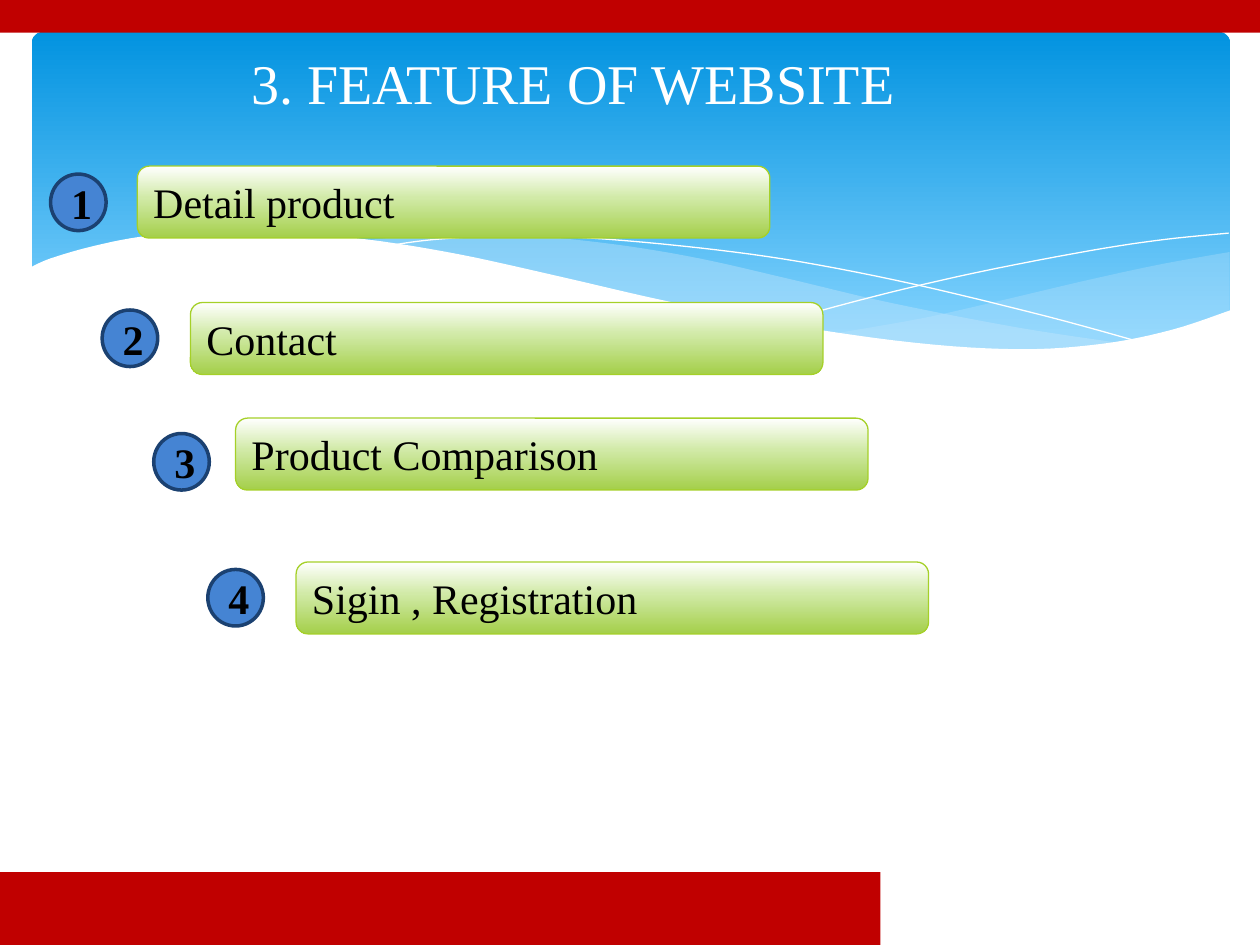
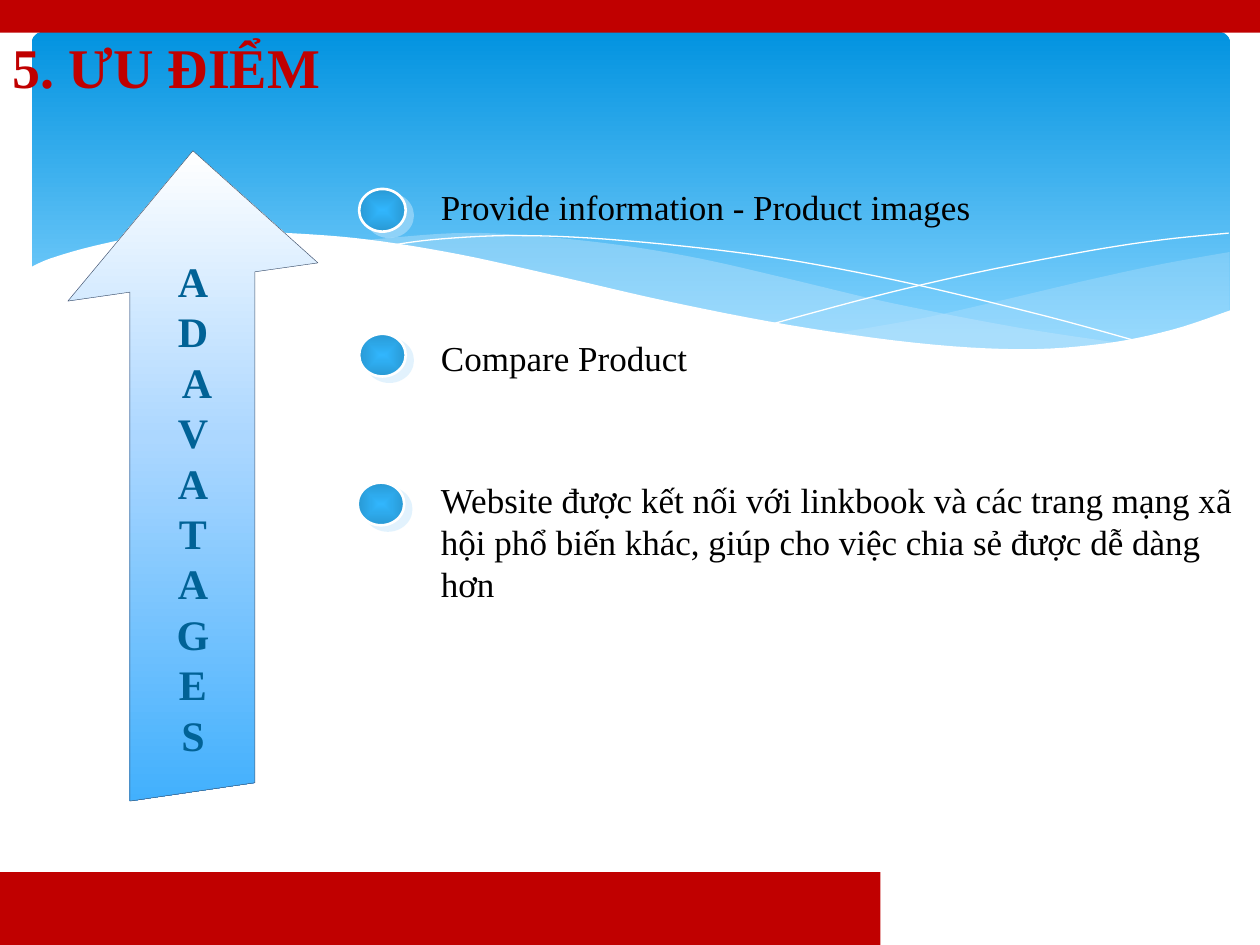
from pptx import Presentation
from pptx import util as u
from pptx.dml.color import RGBColor
from pptx.enum import shapes, text
from pptx.oxml import parse_xml
from pptx.oxml.ns import nsdecls, qn

FONT = "Times New Roman"
HUES = {
    "red": "C00000", "white": "FFFFFF", "black": "000000", "mist": "C6E7FC",
    "lime": "A5D028", "disc": "4584D3", "navy": "1B4171", "teal": "016296",
    "edge": "44546A",
}
SKY = [(0, "0293E0"), (90, "83D3FE")]
LEAF = [(0, "FFFFFF"), (44, "D1EAA7"), (100, "A4CF4A")]
ICE = [(0, "FFFFFF"), (44, "ACD7FF"), (100, "42B0FD")]
BEAD = [(0, "31B6FD"), (100, "2999D4")]

RIGHT_TOP = [(24.79, 5.08), (23.39, 5.33), (21.87, 5.66), (19.79, 6.15),
             (18.52, 6.43), (16.79, 6.73)]
RIGHT_LOW = [(16.79, 6.73), (17.91, 6.88), (19.23, 7.01), (20.68, 7.06),
             (22.15, 6.96), (23.57, 6.68), (24.79, 6.27)]
MID_TOP = [(22.68, 6.93), (20.5, 6.6), (17.93, 6.1), (15.98, 5.64), (14.1, 5.21),
           (12.42, 4.93), (10.67, 4.75), (9.17, 4.7), (7.26, 4.85)]
MID_LOW = [(7.26, 4.85), (9.19, 5.16), (11.4, 5.64), (13.46, 6.1), (15.7, 6.55),
           (18.01, 6.91), (20.22, 7.06), (22.68, 6.93)]
FALL = [(7.85, 4.95), (8.74, 4.83), (10.19, 4.75), (11.91, 4.8), (14.12, 5),
        (16.15, 5.28), (18.47, 5.74), (21.11, 6.38), (23.04, 6.91)]
RISE = [(15.57, 6.53), (17.65, 5.97), (19.71, 5.49), (22, 5.05), (23.47, 4.83),
        (24.77, 4.7)]
SHORE = [(24.82, 6.25), (23.62, 6.65), (22.23, 6.93), (20.55, 7.04), (18.44, 6.91),
         (15.9, 6.55), (13.44, 6.07), (11.35, 5.59), (9.27, 5.13), (7.42, 4.83),
         (5.84, 4.7), (4.5, 4.67), (3.02, 4.75), (1.93, 4.95), (1.02, 5.21),
         (0.58, 5.41)]
BASE = [(0.58, 8.36), (24.82, 8.36)]
ARROW = [(3.89, 3.04), (6.41, 5.3), (5.14, 5.48), (5.14, 15.78), (2.62, 16.15),
         (2.62, 5.89), (1.37, 6.07)]


def rgb(hue):
    return RGBColor.from_string(HUES[hue])


def paint(shape, fill=None, line=None, width=0.75):
    shape.shadow.inherit = False
    if fill:
        shape.fill.solid()
        shape.fill.fore_color.rgb = rgb(fill)
    else:
        shape.fill.background()
    if line:
        shape.line.color.rgb = rgb(line)
        shape.line.width = u.Pt(width)
    else:
        shape.line.fill.background()


def blend(shape, stops, round_fill=False):
    marks = "".join(
        f'<a:gs pos="{pos * 1000}"><a:srgbClr val="{hue}"/></a:gs>' for pos, hue in stops)
    course = '<a:lin ang="5400000" scaled="0"/>'
    if round_fill:
        course = ('<a:path path="shape"><a:fillToRect l="50000" t="50000" '
                  'r="50000" b="50000"/></a:path>')
    shape.fill.gradient()
    props = shape.element.spPr
    props.replace(props.find(qn("a:gradFill")), parse_xml(
        f'<a:gradFill {nsdecls("a")} rotWithShape="1">'
        f'<a:gsLst>{marks}</a:gsLst>{course}</a:gradFill>'))


def fade(shape, share):
    tint = shape.element.spPr.find(".//" + qn("a:srgbClr"))
    tint.append(parse_xml(f'<a:alpha {nsdecls("a")} val="{share * 1000}"/>'))


def cast(shape, hue, share, reach, angle):
    shape.element.spPr.find(qn("a:effectLst")).append(parse_xml(
        f'<a:outerShdw {nsdecls("a")} dist="{u.Pt(reach)}" dir="{angle * 60000}" '
        f'algn="ctr" rotWithShape="0"><a:srgbClr val="{HUES[hue]}">'
        f'<a:alpha val="{share * 1000}"/></a:srgbClr></a:outerShdw>'))


def write(shape, words, size, hue, bold=False, align="LEFT", anchor="MIDDLE"):
    frame = shape.text_frame
    frame.text = words
    frame.word_wrap = True
    frame.vertical_anchor = getattr(text.MSO_ANCHOR, anchor)
    for para in frame.paragraphs:
        para.alignment = getattr(text.PP_ALIGN, align)
        for run in para.runs:
            run.font.name = FONT
            run.font.size = u.Pt(size)
            run.font.bold = bold
            run.font.color.rgb = rgb(hue)


def preset(slide, kind, *box):
    return slide.shapes.add_shape(
        getattr(shapes.MSO_SHAPE, kind), *(u.Cm(n) for n in box))


def curve(knots, steps=6):
    ends = [knots[0], *knots, knots[-1]]
    dots = [knots[0]]
    for a, b, c, d in zip(ends, ends[1:], ends[2:], ends[3:]):
        for step in range(1, steps + 1):
            t = step / steps
            dots.append(tuple(
                (2 * q + (r - p) * t + (2 * p - 5 * q + 4 * r - s) * t ** 2
                 + (3 * q - p - 3 * r + s) * t ** 3) / 2
                for p, q, r, s in zip(a, b, c, d)))
    return dots


def trace(slide, dots, close=True):
    spots = [(u.Cm(x), u.Cm(y)) for x, y in dots]
    pen = slide.shapes.build_freeform(*spots[0])
    pen.add_line_segments(spots[1:], close=close)
    return pen.convert_to_shape()


def wave(slide, dots, fill, share=100):
    shape = trace(slide, dots)
    paint(shape, fill)
    if share < 100:
        fade(shape, share)
    return shape


def thread(slide, knots):
    shape = trace(slide, curve(knots), close=False)
    paint(shape, line="white", width=0)
    return shape


def band(slide, *box):
    shape = preset(slide, "RECTANGLE", *box)
    paint(shape, "red")
    return shape


def backdrop(slide, layout):
    for holder in list(layout.placeholders)[1:]:
        layout.shapes.element.remove(holder.element)
    sky = preset(slide, "ROUNDED_RECTANGLE", 0.64, 0.64, 24.16, 6.86)
    sky.adjustments[0] = 0.034
    paint(sky)
    blend(sky, SKY)
    parts = [
        sky,
        wave(slide, curve(RIGHT_TOP) + curve(RIGHT_LOW), "mist", 29),
        wave(slide, curve(MID_TOP) + curve(MID_LOW), "mist", 40),
        thread(slide, FALL),
        thread(slide, RISE),
        wave(slide, curve(SHORE) + BASE, "white"),
        band(slide, 0, 17.58, 17.75, 1.47),
        band(slide, 0, 0, 25.4, 0.66),
    ]
    for spot, part in enumerate(parts, 2):
        layout.shapes.element.insert(spot, part.element)


def head(slide, words, top, hue, **style):
    title = slide.shapes.title
    title.left, title.top = u.Cm(0), u.Cm(top)
    title.width, title.height = u.Cm(23.11), u.Cm(1.7)
    write(title, words, 32, hue, **style)
    return title


def feature(slide, mark, words, bar_at, disc_at):
    bar = preset(slide, "ROUNDED_RECTANGLE", *bar_at, 12.75, 1.45)
    paint(bar, line="lime")
    blend(bar, LEAF)
    write(bar, words, 24, "black")
    disc = preset(slide, "OVAL", *disc_at, 1.12, 1.14)
    paint(disc, "disc", "navy", 2)
    write(disc, str(mark), 24, "black", bold=True, align="CENTER")


def arrow(slide, words):
    shape = trace(slide, ARROW)
    paint(shape, line="edge", width=0.25)
    blend(shape, ICE)
    write(shape, words, 24, "teal", bold=True, align="CENTER")
    shape.text_frame.margin_top = u.Cm(1.4)


def point(slide, words, top, tall, bead_at):
    bead = preset(slide, "OVAL", *bead_at, 0.94, 0.86)
    paint(bead, line="white", width=1.5)
    blend(bead, BEAD, round_fill=True)
    cast(bead, "mist", 50, 5, 37)
    box = slide.shapes.add_textbox(u.Cm(8.64), u.Cm(top), u.Cm(16.76), u.Cm(tall))
    write(box, words, 20, "black", anchor="TOP")


def main():
    deck = Presentation()
    deck.slide_width, deck.slide_height = u.Cm(25.4), u.Cm(19.05)
    layout = deck.slide_layouts[5]

    site = deck.slides.add_slide(layout)
    backdrop(site, layout)
    head(site, "3. FEATURE OF WEBSITE", 0.81, "white", align="CENTER")
    features = [
        ("Detail product", (2.77, 3.35), (1.02, 3.51)),
        ("Contact", (3.84, 6.1), (2.06, 6.25)),
        ("Product Comparison", (4.75, 8.43), (3.1, 8.74)),
        ("Sigin , Registration", (5.97, 11.33), (4.19, 11.48)),
    ]
    for mark, item in enumerate(features, 1):
        feature(site, mark, *item)

    gains = deck.slides.add_slide(layout)
    title = head(gains, "5. ƯU ĐIỂM", 0.56, "red", bold=True)
    title.text_frame.paragraphs[0].line_spacing = 0.9
    arrow(gains, "A\nD\n A\nV\nA\nT\nA\nG\nE\nS")
    point(gains, "Provide information - Product images", 3.61, 1.12, (7.24, 3.81))
    point(gains, "Compare Product", 6.65, 1.12, (7.24, 6.73))
    point(gains, "Website được kết nối với linkbook và các trang mạng xã hội phổ "
          "biến khác, giúp cho việc chia sẻ được dễ dàng hơn", 9.53, 2.82, (7.21, 9.73))

    deck.save("out.pptx")


if __name__ == "__main__":
    main()
